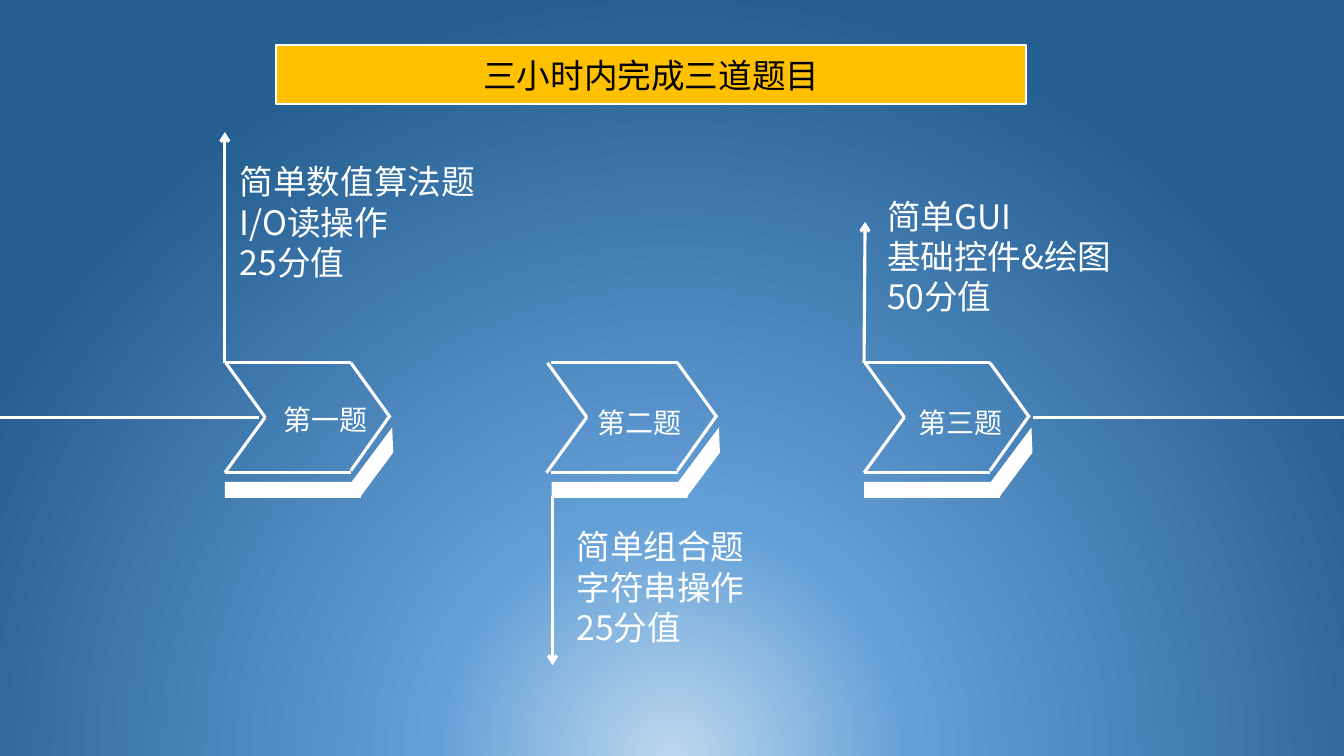
from lxml import etree
from pptx import Presentation
from pptx.dml.color import RGBColor
from pptx.enum.shapes import MSO_CONNECTOR, MSO_SHAPE
from pptx.enum.text import MSO_ANCHOR, MSO_AUTO_SIZE, PP_ALIGN
from pptx.oxml import parse_xml
from pptx.oxml.ns import nsdecls, qn
from pptx.util import Inches, Pt

COLORS = {"white": "FFFFFF", "black": "000000", "gold": "FFC000"}
BACKGROUND_STOPS = [(0, "BDD7EE"), (31, "63A0D7"), (100, "255E91")]
CJK_FONT = "Noto Sans CJK SC"
TITLE = "三小时内完成三道题目"
TASKS = [
    {"label": "第一题", "label_at": (0.48, 3.94), "left": 2.23, "notch_shift": 0,
     "pointer": (0, 3.6, 0, 1.31), "details_at": (0.05, 1.55, 2.6),
     "details": ["简单数值算法题", "I/O读操作", "25分值"]},
    {"label": "第二题", "label_at": (0.36, 3.97), "left": 5.47, "notch_shift": -0.05,
     "pointer": (0.01, 4.92, 0.01, 6.6), "details_at": (0.15, 5.17, 2),
     "details": ["简单组合题", "字符串操作", "25分值"]},
    {"label": "第三题", "label_at": (0.44, 3.97), "left": 8.57, "notch_shift": 0,
     "pointer": (0, 3.6, 0.01, 2.2), "details_at": (0.13, 1.89, 2.5),
     "details": ["简单GUI", "基础控件&绘图", "50分值"]},
]
WIDTH, HEIGHT = 13.33, 7.5
TOP, MIDDLE, BOTTOM = 3.6, 4.14, 4.69
NOTCH, SHOULDER, TIP = 0.4, 1.25, 1.64
NOTCH_EDGES = [(NOTCH, MIDDLE, 0.01, TOP), (NOTCH, MIDDLE, 0, BOTTOM)]
BODY_EDGES = [(SHOULDER, TOP, 0, TOP), (SHOULDER, BOTTOM, 0, BOTTOM),
              (TIP, MIDDLE, SHOULDER, TOP), (TIP, 4.12, SHOULDER, 4.67)]
SIDE_POINTS = [(1.22, 4.83), (1.66, 4.24), (1.67, 4.49), (1.35, 4.92)]


def rgb(name):
    return RGBColor.from_string(COLORS[name])


def set_background(slide):
    stops = "".join(f'<a:gs pos="{position * 1000}"><a:srgbClr val="{color}"/></a:gs>'
                    for position, color in BACKGROUND_STOPS)
    background = parse_xml(
        f'<p:bg {nsdecls("p", "a")}><p:bgPr><a:gradFill rotWithShape="1"><a:gsLst>{stops}</a:gsLst>'
        '<a:path path="circle"><a:fillToRect l="50000" t="130000" r="50000" b="-30000"/></a:path>'
        '</a:gradFill><a:effectLst/></p:bgPr></p:bg>')
    slide.element.cSld.insert(0, background)


def add_line(slide, x1, y1, x2, y2, arrow=False):
    line = slide.shapes.add_connector(
        MSO_CONNECTOR.STRAIGHT, Inches(x1), Inches(y1), Inches(x2), Inches(y2))
    line.line.color.rgb = rgb("white")
    line.line.width = Pt(2.25)
    properties = line.element.spPr
    if arrow:
        etree.SubElement(properties.find(qn("a:ln")), qn("a:tailEnd"), type="arrow")
    etree.SubElement(properties, qn("a:effectLst"))


def fill_white(shape):
    shape.shadow.inherit = False
    shape.fill.solid()
    shape.fill.fore_color.rgb = rgb("white")
    shape.line.fill.background()


def add_text(slide, x, y, width, height, lines, size):
    frame = slide.shapes.add_textbox(
        Inches(x), Inches(y), Inches(width), Inches(height)).text_frame
    frame.word_wrap = True
    frame.text = "\n".join(lines)
    for paragraph in frame.paragraphs:
        font = paragraph.font
        font.size = Pt(size)
        font.name = CJK_FONT
        font.color.rgb = rgb("white")
        defaults = paragraph._p.pPr.find(qn("a:defRPr"))
        etree.SubElement(defaults, qn("a:ea"), typeface=CJK_FONT)


def add_block_arrow(slide, left, notch_shift):
    for edges, shift in ((NOTCH_EDGES, notch_shift), (BODY_EDGES, 0)):
        for x1, y1, x2, y2 in edges:
            add_line(slide, left + shift + x1, y1, left + shift + x2, y2)
    fill_white(slide.shapes.add_shape(
        MSO_SHAPE.RECTANGLE, Inches(left), Inches(4.78), Inches(1.35), Inches(0.16)))
    points = [(Inches(left + x), Inches(y)) for x, y in SIDE_POINTS]
    builder = slide.shapes.build_freeform(*points[0])
    builder.add_line_segments(points[1:], close=True)
    fill_white(builder.convert_to_shape())


def format_title(title):
    title.left, title.top, title.width, title.height = map(Inches, (2.74, 0.45, 7.44, 0.58))
    geometry = parse_xml(f'<a:prstGeom {nsdecls("a")} prst="round1Rect"><a:avLst/></a:prstGeom>')
    title.element.spPr.append(geometry)
    title.fill.solid()
    title.fill.fore_color.rgb = rgb("gold")
    title.line.color.rgb = rgb("white")
    title.line.width = Pt(1.5)
    frame = title.text_frame
    frame.text = TITLE
    frame.auto_size = MSO_AUTO_SIZE.NONE
    frame.vertical_anchor = MSO_ANCHOR.MIDDLE
    paragraph = frame.paragraphs[0]
    paragraph.alignment = PP_ALIGN.CENTER
    paragraph.font.size = Pt(24)
    paragraph.font.name = "Calibri"
    paragraph.font.color.rgb = rgb("black")


def main():
    presentation = Presentation()
    presentation.slide_width = Inches(WIDTH)
    presentation.slide_height = Inches(HEIGHT)
    slide = presentation.slides.add_slide(presentation.slide_layouts[5])
    set_background(slide)
    format_title(slide.shapes.title)
    add_line(slide, 0, MIDDLE, 2.57, MIDDLE)
    add_line(slide, 10.25, MIDDLE, WIDTH, MIDDLE)
    for task in TASKS:
        left = task["left"]
        add_block_arrow(slide, left, task["notch_shift"])
        x1, y1, x2, y2 = task["pointer"]
        add_line(slide, left + x1, y1, left + x2, y2, arrow=True)
        x, y, width = task["details_at"]
        add_text(slide, left + x, y, width, 1.31, task["details"], 24)
        x, y = task["label_at"]
        add_text(slide, left + x, y, 1.26, 0.44, [task["label"]], 20)
    presentation.save("out.pptx")


if __name__ == "__main__":
    main()
